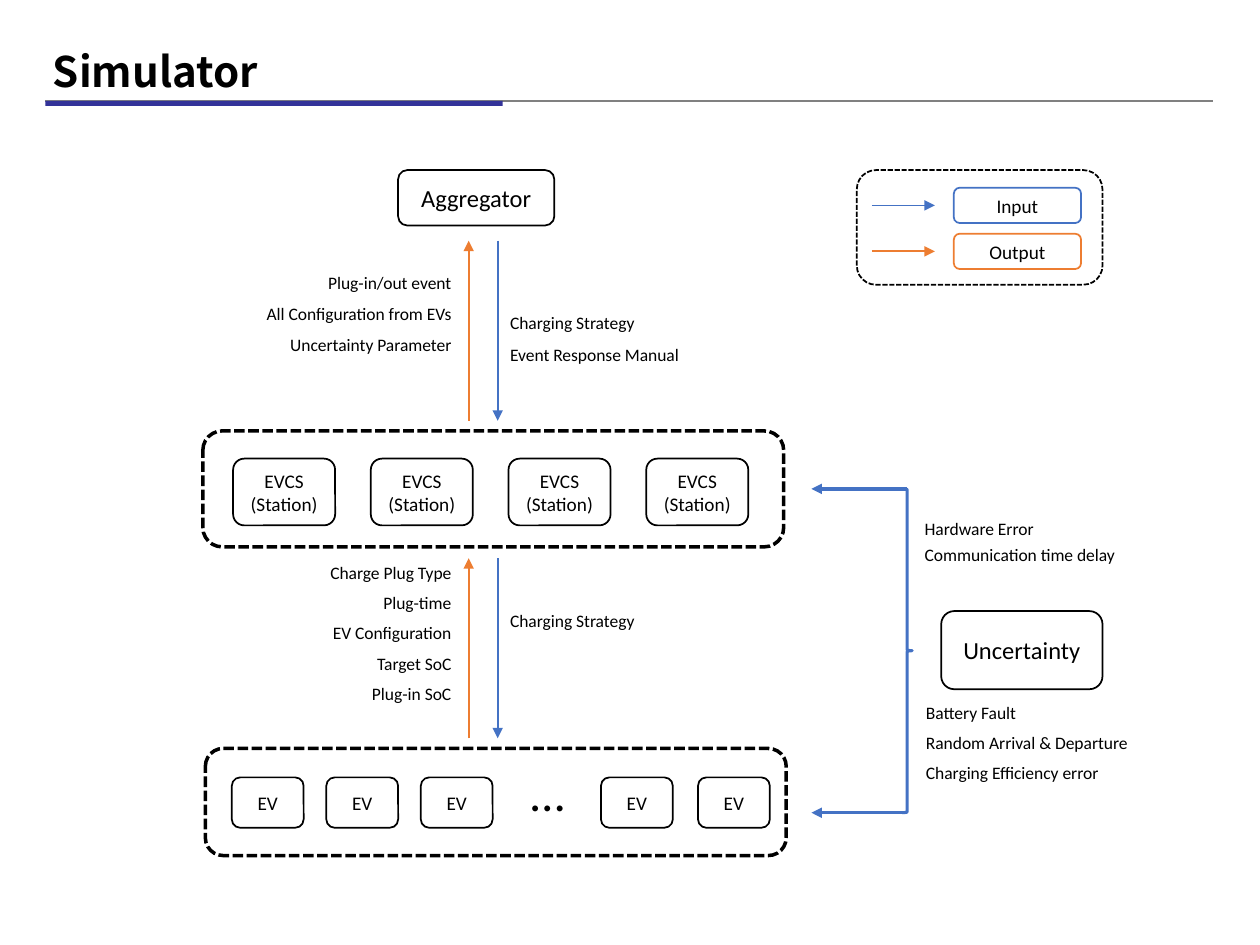
import dataclasses

import pptx
import pptx.util
import pptx.dml.color
import pptx.enum.dml
import pptx.enum.shapes
import pptx.enum.text
import pptx.oxml
import pptx.oxml.ns

SHAPE = pptx.enum.shapes.MSO_SHAPE
ALIGN = pptx.enum.text.PP_ALIGN
ANCHOR = pptx.enum.text.MSO_ANCHOR
FIT = pptx.enum.text.MSO_AUTO_SIZE
DASH = pptx.enum.dml.MSO_LINE

COLS, ROWS = 100, 75


@dataclasses.dataclass(frozen=True)
class Theme:
    """Colours, fonts and type sizes of the slide."""
    ink: str = "000000"
    input: str = "4472C4"
    output: str = "ED7D31"
    bar: str = "333399"
    rule: str = "808080"
    title_font: str = "Noto Sans CJK KR"
    font: str = "Calibri"
    title: int = 24
    dots: int = 28
    node: int = 14
    item: int = 11
    label: int = 10


T = Theme()
prs = pptx.Presentation()
prs.slide_width = pptx.util.Inches(10)
prs.slide_height = pptx.util.Inches(7.5)


def grid(*values):
    """Turn alternating columns and rows into slide lengths."""
    cell = (prs.slide_width / COLS, prs.slide_height / ROWS)
    return [pptx.util.Emu(round(v * cell[i % 2])) for i, v in enumerate(values)]


def rgb(color):
    """Return a colour object for a hex string."""
    return pptx.dml.color.RGBColor.from_string(color)


def write(sp, text, size, align, font=T.font, bold=False):
    """Write one paragraph for each line of text."""
    tf = sp.text_frame
    tf.word_wrap = True
    for i, line in enumerate(text.split("\n")):
        p = tf.paragraphs[0] if i == 0 else tf.add_paragraph()
        p.alignment = align
        r = p.add_run()
        r.text = line
        r.font.name, r.font.size, r.font.bold = font, pptx.util.Pt(size), bold
        r.font.color.rgb = rgb(T.ink)


def outline(parent, kind, box, color=T.ink, width=1, dash=None):
    """Add an unfilled shape with a plain or dashed outline."""
    sp = parent.shapes.add_shape(kind, *grid(*box))
    sp.shadow.inherit = False
    sp.fill.background()
    sp.line.color.rgb = rgb(color)
    sp.line.width = pptx.util.Pt(width)
    if dash:
        sp.line.dash_style = dash
    return sp


def node(parent, box, text, size, color=T.ink):
    """Add a rounded box with centred text."""
    sp = outline(parent, SHAPE.ROUNDED_RECTANGLE, box, color)
    sp.text_frame.vertical_anchor = ANCHOR.MIDDLE
    write(sp, text, size, ALIGN.CENTER)


def label(parent, box, text, size=T.label, align=ALIGN.LEFT):
    """Add a text box that grows with its text."""
    sp = parent.shapes.add_textbox(*grid(*box))
    write(sp, text, size, align)
    sp.text_frame.auto_size = FIT.SHAPE_TO_FIT_TEXT


def line(parent, ends, color, width=1, arrow=True):
    """Add a straight line, with an arrowhead at its end if wanted."""
    cn = parent.shapes.add_connector(pptx.enum.shapes.MSO_CONNECTOR.STRAIGHT, *grid(*ends))
    cn.line.color.rgb = rgb(color)
    cn.line.width = pptx.util.Pt(width)
    pr = cn._element.spPr
    if arrow:
        ln = cn.line._get_or_add_ln()
        ln.append(pptx.oxml.parse_xml(
            '<a:tailEnd %s type="triangle"/>' % pptx.oxml.ns.nsdecls("a")))
    pr.append(pptx.oxml.parse_xml("<a:effectLst %s/>" % pptx.oxml.ns.nsdecls("a")))


def heading(s, box, text):
    """Place the title with the rule and the bar below it."""
    x, y, w, h = box
    line(s, (3.6, 8, 96.3, 8), T.rule, arrow=False)
    bar = s.shapes.add_shape(SHAPE.RECTANGLE, *grid(3.6, 8, 36.3, 0.4))
    bar.shadow.inherit = False
    bar.fill.solid()
    bar.fill.fore_color.rgb = rgb(T.bar)
    bar.line.fill.background()
    sp = s.shapes.title
    sp.left, sp.top, sp.width, sp.height = grid(x, y, w, h)
    write(sp, text, T.title, ALIGN.LEFT, T.title_font, True)
    sp.text_frame.auto_size = FIT.NONE
    sp.text_frame.vertical_anchor = ANCHOR.MIDDLE
    sp.text_frame.paragraphs[0].line_spacing = 0.9


def labels(s, x, y, pitch, items, align=ALIGN.LEFT):
    """Stack labels downward; x is the edge that they share."""
    for i, (text, w) in enumerate(items):
        left = x - w if align == ALIGN.RIGHT else x
        label(s, (left, y + i * pitch, w, 2.7), text, align=align)


def frame(s, box, cell, offsets, text, dots=None):
    """Place a dashed frame with a row of equal boxes in it."""
    x, y, w, h = box
    top, cw, ch = cell
    g = s.shapes.add_group_shape()
    for dx in offsets:
        node(g, (x + dx, y + top, cw, ch), text, T.item)
    if dots:
        label(g, (x + dots, y + 0.6, 5.9, 5.7), "…", T.dots, ALIGN.CENTER)
    outline(g, SHAPE.ROUNDED_RECTANGLE, box, width=2, dash=DASH.SQUARE_DOT)


def exchange(s, box):
    """Place the output arrow going up and the input arrow going down."""
    x, y, w, h = box
    g = s.shapes.add_group_shape()
    line(g, (x, y + h, x, y), T.output)
    line(g, (x + w, y, x + w, y + h), T.input)


def legend(s, box):
    """Place the key to the two arrow colours."""
    x, y, w, h = box
    g = s.shapes.add_group_shape()
    for i, (text, color) in enumerate((("Input", T.input), ("Output", T.output))):
        mid = y + 2.8 + i * 3.65
        line(g, (x + 1.2, mid, x + 6.2, mid), color)
        node(g, (x + 7.7, mid - 1.4, 10.1, 2.8), text, T.item, color)
    outline(g, SHAPE.ROUNDED_RECTANGLE, box, dash=DASH.SQUARE_DOT)


def bracket(s, box):
    """Place the brace with an arrow leaving each end to the left."""
    x, y, w, h = box
    g = s.shapes.add_group_shape()
    for end in (y, y + h):
        line(g, (x + w - 0.4, end, x, end), T.input, 2)
    brace = outline(g, SHAPE.LEFT_BRACE, (x + w - 0.8, y, 0.8, h), T.input, 1.75)
    brace._element.spPr.xfrm.set("flipH", "1")


def simulator(s):
    """Lay out the whole simulator diagram."""
    heading(s, (3.2, 3.6, 90, 4.6), "Simulator")
    node(s, (31.6, 13.5, 12.4, 4.4), "Aggregator", T.node)
    node(s, (74.7, 48.5, 12.8, 6.2), "Uncertainty", T.node)
    legend(s, (68, 13.5, 19.5, 9.1))
    for top in (19.1, 44.3):
        exchange(s, (37.2, top, 2.3, 14.3))
    frame(s, (16.1, 34.2, 46.1, 9.2), (2.2, 8.1, 5.3),
          [2.4 + 10.93 * i for i in range(4)], "EVCS\n(Station)")
    frame(s, (16.3, 59.4, 46.1, 8.5), (2.3, 5.7, 4),
          (2.1, 9.6, 17.1, 31.4, 39.1), "EV", dots=24.2)
    bracket(s, (64.4, 38.8, 8, 25.7))
    labels(s, 36.8, 21.1, 2.45, (("Plug-in/out event", 12.4),
           ("All Configuration from EVs", 18.4), ("Uncertainty Parameter", 15.8)), ALIGN.RIGHT)
    labels(s, 36.8, 44.1, 2.4, (("Charge Plug Type", 12.2), ("Plug-time", 8.1),
           ("EV Configuration", 15.6), ("Target SoC", 8.3), ("Plug-in SoC", 8.3)), ALIGN.RIGHT)
    labels(s, 39.5, 24.3, 2.5, (("Charging Strategy", 13.3), ("Event Response Manual", 15.8)))
    labels(s, 39.5, 47.9, 2.5, (("Charging Strategy", 13.3),))
    labels(s, 72.4, 40.6, 2.1, (("Hardware Error", 17.2), ("Communication time delay", 17.2)))
    labels(s, 72.5, 55.2, 2.4, (("Battery Fault", 17.2),
           ("Random Arrival & Departure", 18.1), ("Charging Efficiency error", 17.2)))


simulator(prs.slides.add_slide(prs.slide_layouts[5]))
prs.save("out.pptx")
